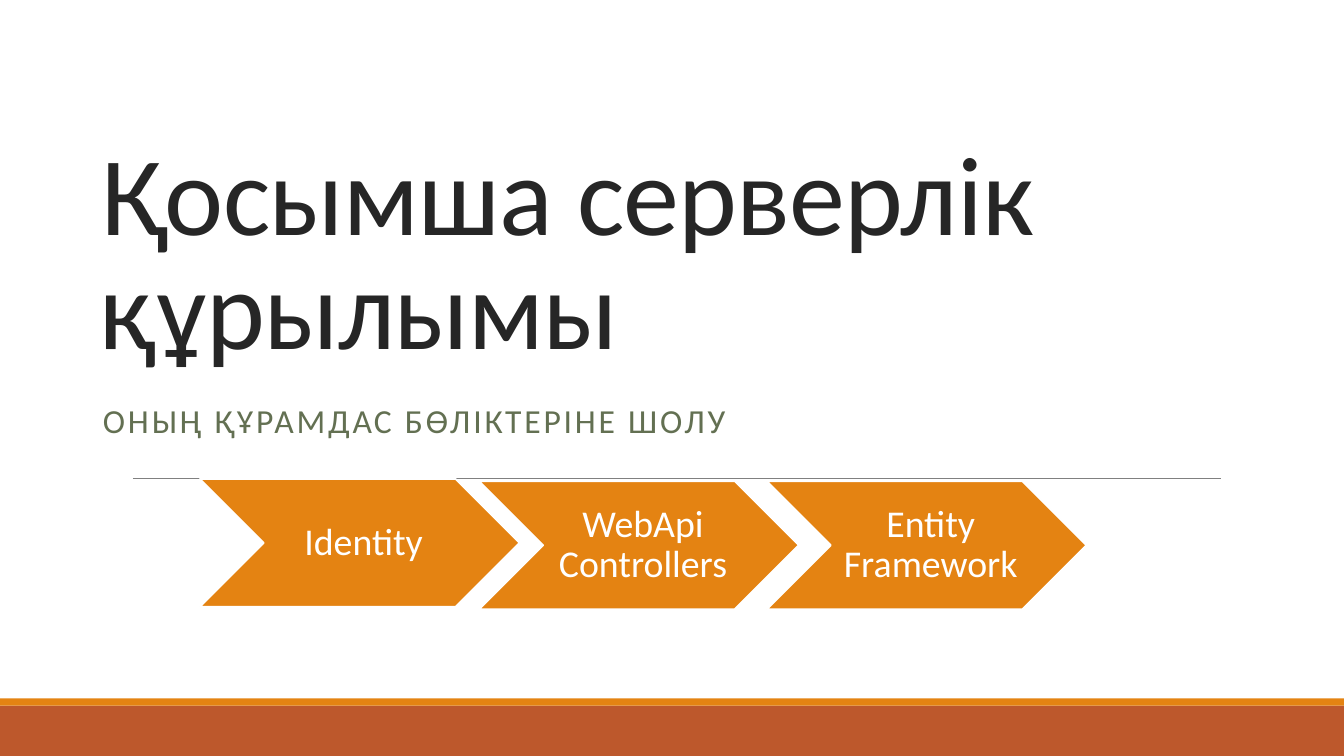
import pptx
import pptx.dml.color
import pptx.enum.shapes
import pptx.enum.text
import pptx.util
from dataclasses import dataclass
from lxml import etree
from pptx.oxml.ns import qn

Cm = pptx.util.Cm
Pt = pptx.util.Pt
Shape = pptx.enum.shapes.MSO_SHAPE
Align = pptx.enum.text.PP_ALIGN
Anchor = pptx.enum.text.MSO_ANCHOR

WIDE, HIGH = 33.87, 19.05
ORANGE, RUST, WHITE = "E48312", "BD582C", "FFFFFF"


@dataclass
class Box:
    left: float
    top: float
    width: float
    height: float

    def place(self) -> tuple:
        return Cm(self.left), Cm(self.top), Cm(self.width), Cm(self.height)


@dataclass
class Step:
    label: str
    left: float
    top: float


def color(code: str) -> pptx.dml.color.RGBColor:
    return pptx.dml.color.RGBColor.from_string(code)


def write(shape, text: str, *, size: float, ink: str, space: float,
          align=Align.LEFT, anchor=Anchor.TOP, track: float = 0,
          before: float = 0, after: float = 0,
          inset: tuple = (0.25, 0.13, 0.25, 0.13)) -> None:
    frame = shape.text_frame
    frame.word_wrap = True
    frame.auto_size = pptx.enum.text.MSO_AUTO_SIZE.NONE
    frame.vertical_anchor = anchor
    (frame.margin_left, frame.margin_top,
     frame.margin_right, frame.margin_bottom) = map(Cm, inset)
    para = frame.paragraphs[0]
    para.alignment = align
    para.line_spacing = space
    para.space_before, para.space_after = Pt(before), Pt(after)
    run = para.add_run()
    run.text = text
    run.font.name = "Calibri"
    run.font.size = Pt(size)
    run.font.color.rgb = color(ink)
    if track:
        run._r.get_or_add_rPr().set("spc", str(int(track * 100)))


def draw(slide, kind, box: Box, fill: str, edge: str = ""):
    shape = slide.shapes.add_shape(kind, *box.place())
    shape.shadow.inherit = False
    shape.fill.solid()
    shape.fill.fore_color.rgb = color(fill)
    if edge:
        shape.line.color.rgb = color(edge)
        shape.line.width = Pt(1.25)
    else:
        shape.line.fill.background()
    return shape


def rule(slide, left: float, right: float, top: float) -> None:
    line = slide.shapes.add_connector(
        pptx.enum.shapes.MSO_CONNECTOR.STRAIGHT,
        Cm(left), Cm(top), Cm(right), Cm(top))
    line.line.color.rgb = color("808080")
    line.line.width = Pt(0.5)
    etree.SubElement(line._element.spPr, qn("a:effectLst"))


def settle(holder, box: Box) -> None:
    holder.left, holder.top, holder.width, holder.height = box.place()


def main() -> None:
    deck = pptx.Presentation()
    deck.slide_width, deck.slide_height = Cm(WIDE), Cm(HIGH)
    slide = deck.slides.add_slide(deck.slide_layouts[0])

    # Footer bands and divider
    draw(slide, Shape.RECTANGLE, Box(0, 17.78, WIDE, 1.27), RUST)
    draw(slide, Shape.RECTANGLE, Box(0, 17.6, WIDE, 0.18), ORANGE)
    rule(slide, 3.35, 30.78, 12.06)

    # Title and subtitle
    title, lead = slide.placeholders
    settle(title, Box(2.32, 1.6, 29.21, 7.92))
    write(title, "Қосымша серверлік құрылымы", size=80, ink="262626",
          space=0.85, anchor=Anchor.BOTTOM, track=-0.5)
    settle(lead, Box(2.34, 10.06, 29.21, 4.17))
    write(lead, "ОНЫҢ ҚҰРАМДАС БӨЛІКТЕРІНЕ ШОЛУ", size=24, ink="637052",
          space=0.9, track=2, before=12, after=2)

    # Chain of server parts
    steps = [
        Step("Identity", 5.04, 12.07),
        Step("WebApi Controllers", 12.08, 12.13),
        Step("Entity Framework", 19.33, 12.13),
    ]
    for step in steps:
        arrow = draw(slide, Shape.CHEVRON,
                     Box(step.left, step.top, 8.05, 3.22), ORANGE, WHITE)
        write(arrow, step.label, size=27, ink=WHITE, space=0.9,
              align=Align.CENTER, anchor=Anchor.MIDDLE,
              inset=(0.22, 0.1, 0.02, 0.1))

    deck.save("out.pptx")


if __name__ == "__main__":
    main()
